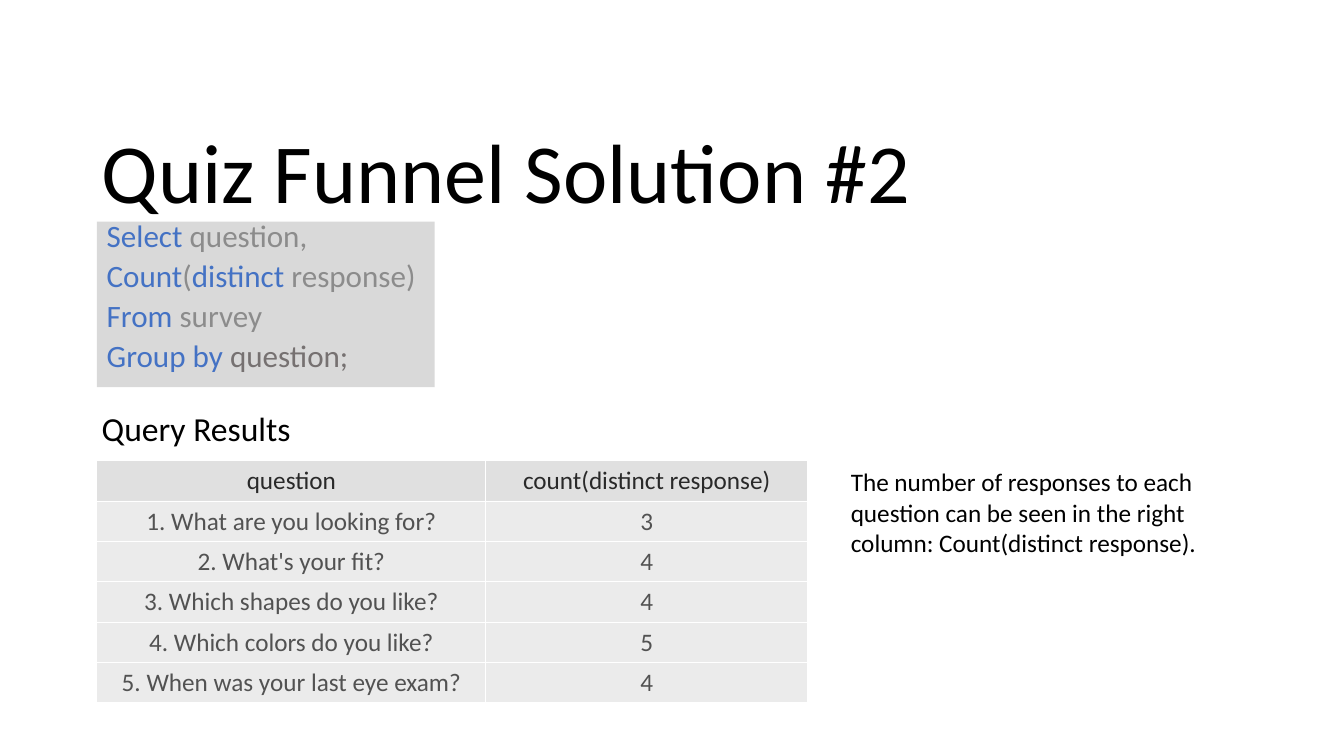
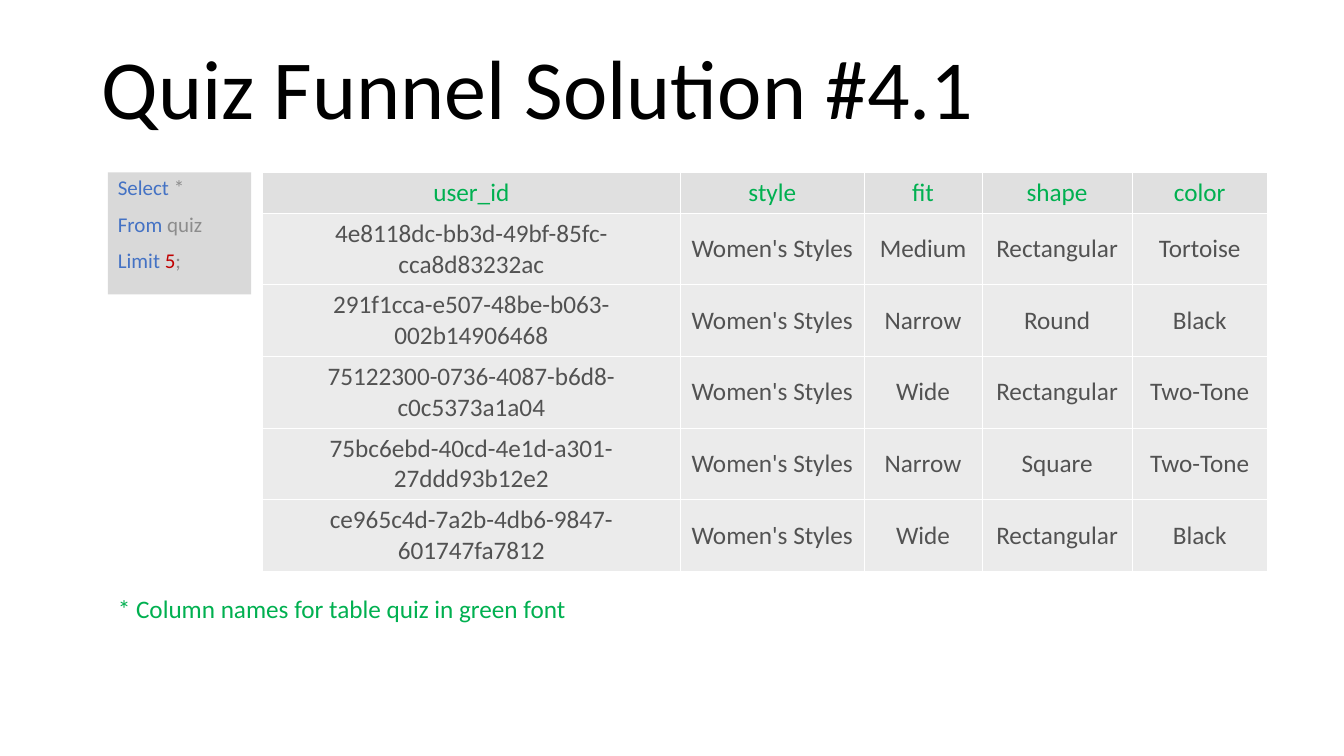
"""Build two slides on quiz funnel queries."""
import pptx
import pptx.dml.color
import pptx.enum.shapes
import pptx.enum.text
import pptx.oxml
import pptx.oxml.ns
import pptx.util

Inches = pptx.util.Inches
Pt = pptx.util.Pt
RGBColor = pptx.dml.color.RGBColor
Anchor = pptx.enum.text.MSO_ANCHOR
Align = pptx.enum.text.PP_ALIGN

BLACK = RGBColor(0x00, 0x00, 0x00)
BLUE = RGBColor(0x44, 0x72, 0xC4)
GRAY = RGBColor(0x8C, 0x8C, 0x8C)
SLATE = RGBColor(0x76, 0x71, 0x71)
RED = RGBColor(0xC0, 0x00, 0x00)
GREEN = RGBColor(0x00, 0xB0, 0x50)
DARK = RGBColor(0x29, 0x29, 0x29)
BODY = RGBColor(0x52, 0x52, 0x52)
PANEL = RGBColor(0xD9, 0xD9, 0xD9)
HEAD = RGBColor(0xE0, 0xE0, 0xE0)
ROW = RGBColor(0xEB, 0xEB, 0xEB)
WHITE = RGBColor(0xFF, 0xFF, 0xFF)


class Deck:
    """Hold the shared style and the current slide."""

    font = "Calibri"
    size = 18

    def __init__(self):
        self.file = pptx.Presentation()
        self.file.slide_width = Inches(13.33)
        self.file.slide_height = Inches(7.5)
        self.slide = None

    def words(self, para, runs, size, space=None, before=0, align=Align.LEFT):
        para.alignment = align
        para.space_before = Pt(before)
        if space:
            para.line_spacing = space
        for text, color in runs:
            run = para.add_run()
            run.text = text
            run.font.name = self.font
            run.font.size = Pt(size)
            run.font.bold = False
            run.font.color.rgb = color

    def title(self, text, top):
        self.slide = self.file.slides.add_slide(self.file.slide_layouts[5])
        shape = self.slide.shapes.title
        shape.left, shape.top = Inches(0.91), Inches(top)
        shape.width, shape.height = Inches(11.5), Inches(1.17)
        frame = shape.text_frame
        frame.auto_size = pptx.enum.text.MSO_AUTO_SIZE.NONE
        frame.vertical_anchor = Anchor.BOTTOM
        self.words(frame.paragraphs[0], [(text, BLACK)], 60, 0.9)

    def code(self, box, lines, size, space):
        shape = self.slide.shapes.add_shape(
            pptx.enum.shapes.MSO_SHAPE.RECTANGLE, *map(Inches, box))
        shape.shadow.inherit = False
        shape.fill.solid()
        shape.fill.fore_color.rgb = PANEL
        shape.line.fill.background()
        frame = shape.text_frame
        frame.word_wrap = True
        frame.vertical_anchor = Anchor.TOP
        for i, runs in enumerate(lines):
            para = frame.add_paragraph() if i else frame.paragraphs[0]
            self.words(para, runs, size, space, 10)

    def text(self, box, text, color=BLACK, size=size, space=None):
        shape = self.slide.shapes.add_textbox(*map(Inches, box))
        frame = shape.text_frame
        frame.word_wrap = True
        self.words(frame.paragraphs[0], [(text, color)], size, space)

    def border(self, cell):
        props = cell._tc.get_or_add_tcPr()
        for side in "LRTB":
            props.append(pptx.oxml.parse_xml(
                f'<a:ln{side} {pptx.oxml.ns.nsdecls("a")} w="9525">'
                f'<a:solidFill><a:srgbClr val="{WHITE}"/></a:solidFill>'
                f'</a:ln{side}>'))

    def table(self, left, top, cols, highs, rows, color):
        grid = self.slide.shapes.add_table(
            len(rows), len(cols), Inches(left), Inches(top),
            Inches(sum(cols)), Inches(sum(highs))).table
        for col, width in zip(grid.columns, cols):
            col.width = Inches(width)
        for i, (row, high) in enumerate(zip(rows, highs)):
            grid.rows[i].height = Inches(high)
            for j, text in enumerate(row):
                cell = grid.cell(i, j)
                self.border(cell)
                cell.fill.solid()
                cell.fill.fore_color.rgb = ROW if i else HEAD
                cell.vertical_anchor = Anchor.MIDDLE
                self.words(cell.text_frame.paragraphs[0],
                           [(text, BODY if i else color)],
                           self.size, align=Align.CENTER)


deck = Deck()

deck.title("Quiz Funnel Solution #2", 1.08)
deck.code((0.96, 2.2, 3.35, 1.64), [
    [("Select", BLUE), (" question,", GRAY)],
    [("Count", BLUE), ("(", GRAY), ("distinct", BLUE), (" response)", GRAY)],
    [("From", BLUE), (" survey", GRAY)],
    [("Group by ", BLUE), ("question;", SLATE)],
], 22.2, 0.7)
deck.text((0.91, 4.04, 9.48, 0.54), "Query Results", size=24, space=0.9)
deck.table(0.96, 4.57, [3.86, 3.19], [0.4] * 6, [
    ("question", "count(distinct response)"),
    ("1. What are you looking for?", "3"),
    ("2. What's your fit?", "4"),
    ("3. Which shapes do you like?", "4"),
    ("4. Which colors do you like?", "5"),
    ("5. When was your last eye exam?", "4"),
], DARK)
deck.text((8.34, 4.58, 4.07, 1.01),
          "The number of responses to each question can be seen "
          "in the right column: Count(distinct response).")

deck.title("Quiz Funnel Solution #4.1", 0.25)
deck.code((1.07, 1.71, 1.42, 1.21), [
    [("Select", BLUE), (" *", GRAY)],
    [("From", BLUE), (" quiz", GRAY)],
    [("Limit ", BLUE), ("5", RED), (";", GRAY)],
], 15, 0.9)
style = "Women's Styles"
deck.table(2.6, 1.71, [4.15, 1.82, 1.17, 1.49, 1.34], [0.39] + [0.71] * 5, [
    ("user_id", "style", "fit", "shape", "color"),
    ("4e8118dc-bb3d-49bf-85fc-cca8d83232ac", style,
     "Medium", "Rectangular", "Tortoise"),
    ("291f1cca-e507-48be-b063-002b14906468", style,
     "Narrow", "Round", "Black"),
    ("75122300-0736-4087-b6d8-c0c5373a1a04", style,
     "Wide", "Rectangular", "Two-Tone"),
    ("75bc6ebd-40cd-4e1d-a301-27ddd93b12e2", style,
     "Narrow", "Square", "Two-Tone"),
    ("ce965c4d-7a2b-4db6-9847-601747fa7812", style,
     "Wide", "Rectangular", "Black"),
], GREEN)
deck.text((1.07, 5.84, 5.12, 0.4),
          "* Column names for table quiz in green font", GREEN)

deck.file.save("out.pptx")
